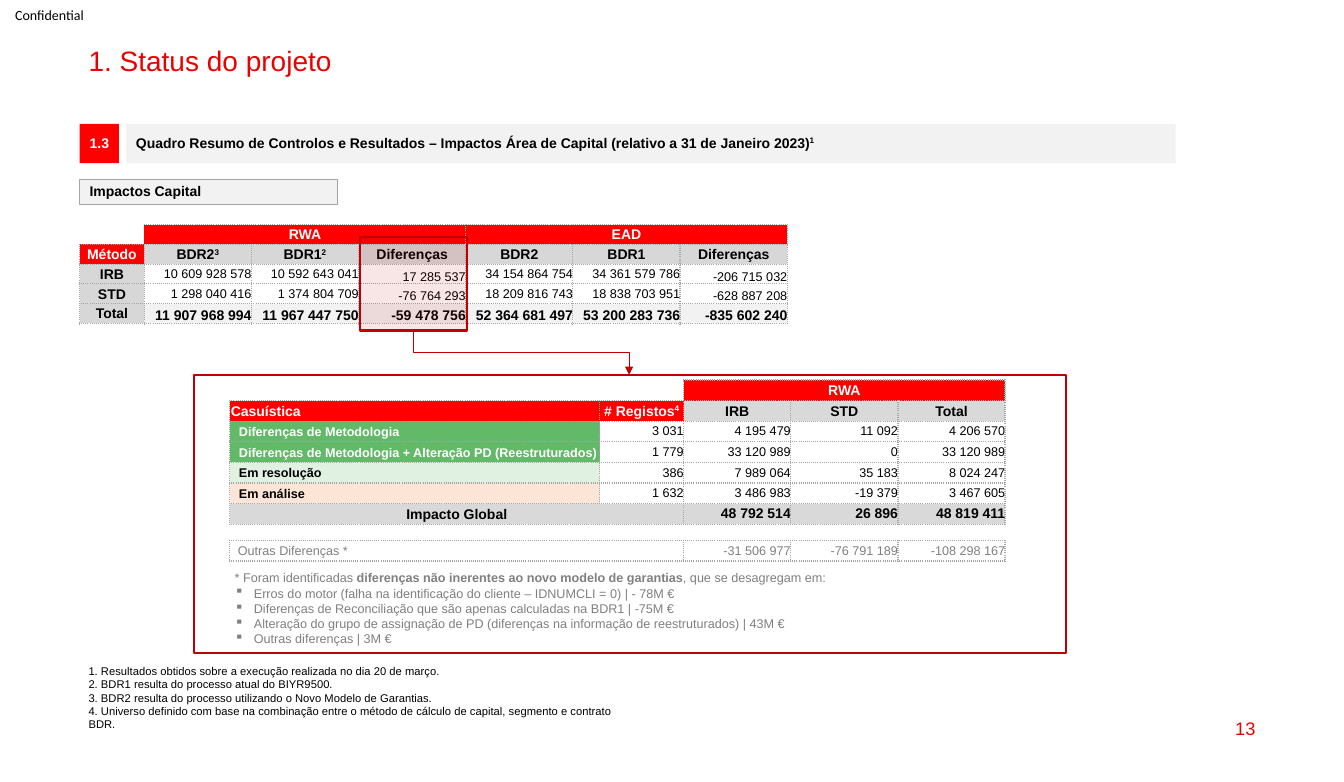
from dataclasses import dataclass
from functools import partial

from lxml.etree import SubElement
from pptx import Presentation
from pptx.dml.color import RGBColor
from pptx.enum.shapes import MSO_CONNECTOR as Connector, MSO_SHAPE as Preset
from pptx.enum.text import MSO_ANCHOR as Anchor, PP_ALIGN as Align
from pptx.oxml.ns import qn
from pptx.util import Inches, Pt

GRID = 0.1
COLUMNS, ROWS = 133.3, 77.6
INSETS = (0.1, 0.05, 0.1, 0.05)
SIDES = {"l": "a:lnL", "r": "a:lnR", "t": "a:lnT", "b": "a:lnB"}
COLORS = {
    "black": "000000", "white": "FFFFFF", "brand": "EB0000", "red": "FF0000",
    "dark_red": "C00000", "pale": "F2F2F2", "border": "A6A6A6", "note": "808080",
    "head": "D7D7D7", "total": "D9D9D9", "green": "62B967", "mint": "E0F1E1",
    "peach": "FCE4D6",
}


@dataclass
class Cell:
    text: str = ""
    fill: str = ""
    color: str = "black"
    align: Align = Align.CENTER
    size: int = 10
    bold: bool = True
    anchor: Anchor = Anchor.MIDDLE
    left: float = 0.01
    edges: str = "lrtb"


Number = partial(Cell, align=Align.RIGHT, size=9, bold=False, left=0)
Sum = partial(Cell, align=Align.RIGHT, left=0)
Case = partial(Cell, align=Align.LEFT, size=9, left=0.09)
RedHead = partial(Cell, fill="red", color="white")


def cells(value):
    return Inches(value * GRID)


def rgb(name):
    return RGBColor.from_string(COLORS[name])


def add_run(paragraph, text, size, color, bold=False, face="Arial", raised=False):
    run = paragraph.add_run()
    run.text = text
    run.font.size, run.font.bold, run.font.name = Pt(size), bold, face
    run.font.color.rgb = rgb(color)
    if raised:
        run._r.get_or_add_rPr().set("baseline", "30000")


def add_marked_text(paragraph, text, **style):
    body, _, mark = text.partition("^")
    add_run(paragraph, body, **style)
    if mark:
        add_run(paragraph, mark, raised=True, **style)


def set_frame(frame, anchor, insets):
    frame.word_wrap = True
    frame.vertical_anchor = anchor
    (frame.margin_left, frame.margin_top,
     frame.margin_right, frame.margin_bottom) = map(Inches, insets)


def add_text(slide, box, lines, anchor=Anchor.TOP, align=Align.LEFT, insets=INSETS, **style):
    frame = slide.shapes.add_textbox(*map(cells, box)).text_frame
    set_frame(frame, anchor, insets)
    for index, line in enumerate(lines):
        paragraph = frame.paragraphs[0] if index == 0 else frame.add_paragraph()
        paragraph.alignment = align
        add_run(paragraph, line, **style)
    return frame


def add_box(slide, box, fill=None, line=None, weight=1.5, alpha=None):
    shape = slide.shapes.add_shape(Preset.RECTANGLE, *map(cells, box))
    shape.shadow.inherit = False
    if fill:
        shape.fill.solid()
        shape.fill.fore_color.rgb = rgb(fill)
    else:
        shape.fill.background()
    if alpha:
        color = shape._element.spPr.find(f"{qn('a:solidFill')}/{qn('a:srgbClr')}")
        SubElement(color, qn("a:alpha"), val=str(alpha * 1000))
    if line:
        shape.line.color.rgb = rgb(line)
        shape.line.width = Pt(weight)
    else:
        shape.line.fill.background()
    return shape


def add_label(slide, box, text, fill, color="black", align=Align.LEFT, line=None):
    shape = add_box(slide, box, fill, line, 0.75)
    set_frame(shape.text_frame, Anchor.MIDDLE, INSETS)
    paragraph = shape.text_frame.paragraphs[0]
    paragraph.alignment, paragraph.line_spacing = align, 0.9
    add_marked_text(paragraph, text, size=10, color=color, bold=True)


def set_edges(cell, edges):
    properties = cell._tc.get_or_add_tcPr()
    for side, tag in SIDES.items():
        line = SubElement(properties, qn(tag), w=str(Pt(1)))
        if side in edges:
            fill = SubElement(line, qn("a:solidFill"))
            SubElement(fill, qn("a:srgbClr"), val=COLORS["border"])
            SubElement(line, qn("a:prstDash"), val="sysDot")
        else:
            SubElement(line, qn("a:noFill"))


def fill_cell(cell, content):
    set_edges(cell, content.edges)
    if content.fill:
        cell.fill.solid()
        cell.fill.fore_color.rgb = rgb(content.fill)
    else:
        cell.fill.background()
    cell.vertical_anchor = content.anchor
    cell.margin_left = Inches(content.left)
    cell.margin_right = cell.margin_top = Inches(min(content.left, 0.01))
    cell.margin_bottom = 0
    paragraph = cell.text_frame.paragraphs[0]
    paragraph.alignment = content.align
    if content.text:
        add_marked_text(paragraph, content.text, size=content.size,
                        color=content.color, bold=content.bold)
    else:
        SubElement(paragraph._p, qn("a:endParaRPr"), sz="800")


def add_grid(slide, box, widths, heights, rows):
    table = slide.shapes.add_table(len(rows), len(widths), *map(cells, box)).table
    table.first_row = table.horz_banding = False
    for column, width in zip(table.columns, widths):
        column.width = cells(width)
    for row, height in zip(table.rows, heights):
        row.height = cells(height)
    for y, row in enumerate(rows):
        for x, content in enumerate(row):
            if content is None:
                set_edges(table.cell(y, x), row[start].edges)
                continue
            start, end = x, x + 1
            while end < len(row) and row[end] is None:
                end += 1
            if end > x + 1:
                table.cell(y, x).merge(table.cell(y, end - 1))
            fill_cell(table.cell(y, x), content)


def add_capital_table(slide):
    titles = ["BDR2^3", "BDR1^2", "Diferenças", "BDR2", "BDR1", "Diferenças"]
    methods = {
        "IRB": ["10 609 928 578", "10 592 643 041", "17 285 537",
                "34 154 864 754", "34 361 579 786", "-206 715 032"],
        "STD": ["1 298 040 416", "1 374 804 709", "-76 764 293",
                "18 209 816 743", "18 838 703 951", "-628 887 208"],
    }
    totals = ["11 907 968 994", "11 967 447 750", "-59 478 756",
              "52 364 681 497", "53 200 283 736", "-835 602 240"]
    rows = [[Cell(edges="b"), RedHead("RWA", edges="rtb"), None, None, RedHead("EAD"), None, None],
            [RedHead("Método")] + [Cell(title, "head") for title in titles]]
    for method, values in methods.items():
        rows.append([Cell(method, "head")] + [
            Number(value, "white", anchor=Anchor.MIDDLE if index % 3 < 2 else Anchor.BOTTOM)
            for index, value in enumerate(values)])
    rows.append([Cell("Total", "head")]
                + [Sum(value, "pale", anchor=Anchor.BOTTOM) for value in totals])
    add_grid(slide, (7.9, 22.3, 70.2, 9.8), [6.4] + [63.8 / 6] * 6, [9.8 / 5] * 5, rows)


def add_case_table(slide):
    cases = [
        (Case("Diferenças de Metodologia", "green", "white"),
         ["3 031", "4 195 479", "11 092", "4 206 570"]),
        (Case("Diferenças de Metodologia + Alteração PD (Reestruturados)", "green", "white"),
         ["1 779", "33 120 989", "0", "33 120 989"]),
        (Case("Em resolução", "mint"), ["386", "7 989 064", "35 183", "8 024 247"]),
        (Case("Em análise", "peach"), ["1 632", "3 486 983", "-19 379", "3 467 605"]),
    ]
    rows = [[Cell(edges="b"), Cell(edges="rb"), RedHead("RWA"), None, None],
            [RedHead("Casuística", align=Align.LEFT), RedHead("# Registos^4")]
            + [Cell(title, "total") for title in ("IRB", "STD", "Total")]]
    rows += [[case] + [Number(value) for value in values] for case, values in cases]
    rows.append([Cell("Impacto Global", "total"), None]
                + [Sum(value, "total") for value in ("48 792 514", "26 896", "48 819 411")])
    rows.append([Cell(edges="tb"), None, None, None, None])
    rows.append([Case("Outras Diferenças *", color="note", bold=False, left=0.08), None] + [
        Number(value, color="note") for value in ("-31 506 977", "-76 791 189", "-108 298 167")])
    add_grid(slide, (22.8, 37.7, 76.9, 18), [36.7, 8.3] + [31.9 / 3] * 3,
             [2.05] * 7 + [1.6, 2.05], rows)


def add_breakdown(slide):
    frame = add_text(slide, (22.3, 56.1, 62.6, 8.6), ["* Foram identificadas "], size=9, color="note")
    intro = frame.paragraphs[0]
    add_run(intro, "diferenças não inerentes ao novo modelo de garantias", 9, "note", True)
    add_run(intro, ", que se desagregam em:", 9, "note")
    for text in ("Erros do motor (falha na identificação do cliente – IDNUMCLI = 0) | - 78M €",
                 "Diferenças de Reconciliação que são apenas calculadas na BDR1 | -75M €",
                 "Alteração do grupo de assignação de PD (diferenças na informação de reestruturados) | 43M €",
                 "Outras diferenças | 3M €"):
        paragraph = frame.add_paragraph()
        properties = paragraph._p.get_or_add_pPr()
        properties.set("marL", str(Inches(0.19)))
        properties.set("indent", str(Inches(-0.19)))
        SubElement(properties, qn("a:buChar"), char="▪")
        add_run(paragraph, text, 9, "note")


def add_drop_arrow(slide, start, end):
    middle_x, middle_y = (start[0] + end[0]) / 2, (start[1] + end[1]) / 2
    half_run, half_drop = (end[0] - start[0]) / 2, (end[1] - start[1]) / 2
    arrow = slide.shapes.add_connector(
        Connector.ELBOW, cells(middle_x + half_drop), cells(middle_y - half_run),
        cells(middle_x - half_drop), cells(middle_y + half_run))
    arrow.line.color.rgb, arrow.line.width = rgb("dark_red"), Pt(0.5)
    properties = arrow._element.spPr
    properties.find(qn("a:xfrm")).set("rot", str(270 * 60000))
    SubElement(properties.find(qn("a:ln")), qn("a:tailEnd"), type="triangle")
    SubElement(properties, qn("a:effectLst"))


def main():
    presentation = Presentation()
    presentation.slide_width, presentation.slide_height = cells(COLUMNS), cells(ROWS)
    slide = presentation.slides.add_slide(presentation.slide_layouts[6])
    add_text(slide, (0, 0, 9.9, 2.9), ["Confidential"], Anchor.MIDDLE,
             insets=(0.15, 0, 0, 0), size=10, color="black", face="Calibri")
    add_box(slide, (19.2, 37.2, 86.5, 27.6), line="dark_red")
    add_text(slide, (7.8, 3.8, 117.7, 3.4), ["1. Status do projeto"], size=20, color="brand")
    add_text(slide, (95.5, 70.2, 30, 4.1), ["13"], Anchor.MIDDLE, Align.RIGHT,
             size=13, color="brand")
    add_label(slide, (7.9, 12.3, 3.9, 3.9), "1.3", "red", "white", Align.CENTER)
    add_label(slide, (12.5, 12.3, 104.1, 3.9),
              "Quadro Resumo de Controlos e Resultados – Impactos Área de Capital "
              "(relativo a 31 de Janeiro 2023)^1", "pale")
    add_label(slide, (7.9, 17.8, 25.6, 2.5), "Impactos Capital", "pale", line="border")
    add_case_table(slide)
    add_breakdown(slide)
    add_capital_table(slide)
    add_text(slide, (7.8, 65.4, 54, 6.4), [
        "1. Resultados obtidos sobre a execução realizada no dia 20 de março.",
        "2. BDR1 resulta do processo atual do BIYR9500.",
        "3. BDR2 resulta do processo utilizando o Novo Modelo de Garantias.",
        "4. Universo definido com base na combinação entre o método de cálculo de capital, "
        "segmento e contrato BDR."], size=8, color="black")
    add_box(slide, (35.7, 23.5, 10.6, 9.3), "dark_red", "dark_red", alpha=10)
    add_drop_arrow(slide, (41, 32.8), (62.4, 37.2))
    presentation.save("out.pptx")


if __name__ == "__main__":
    main()
